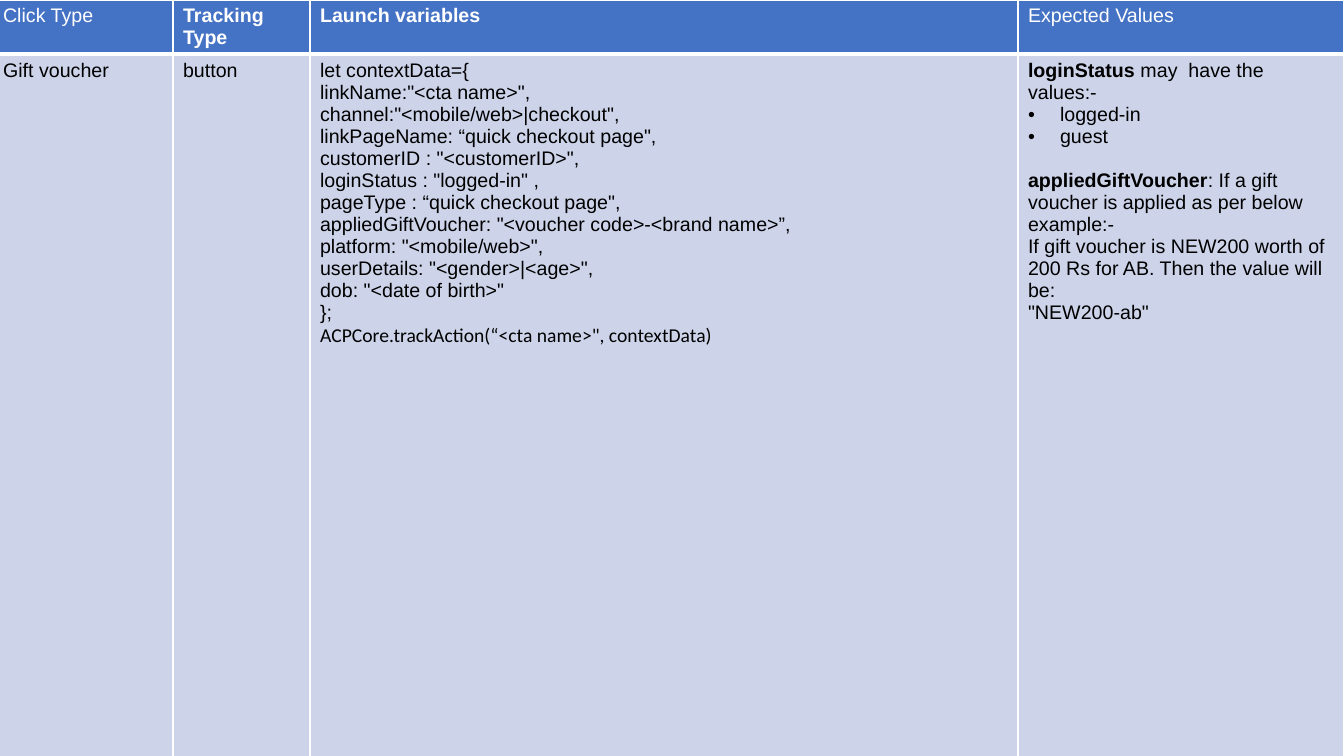
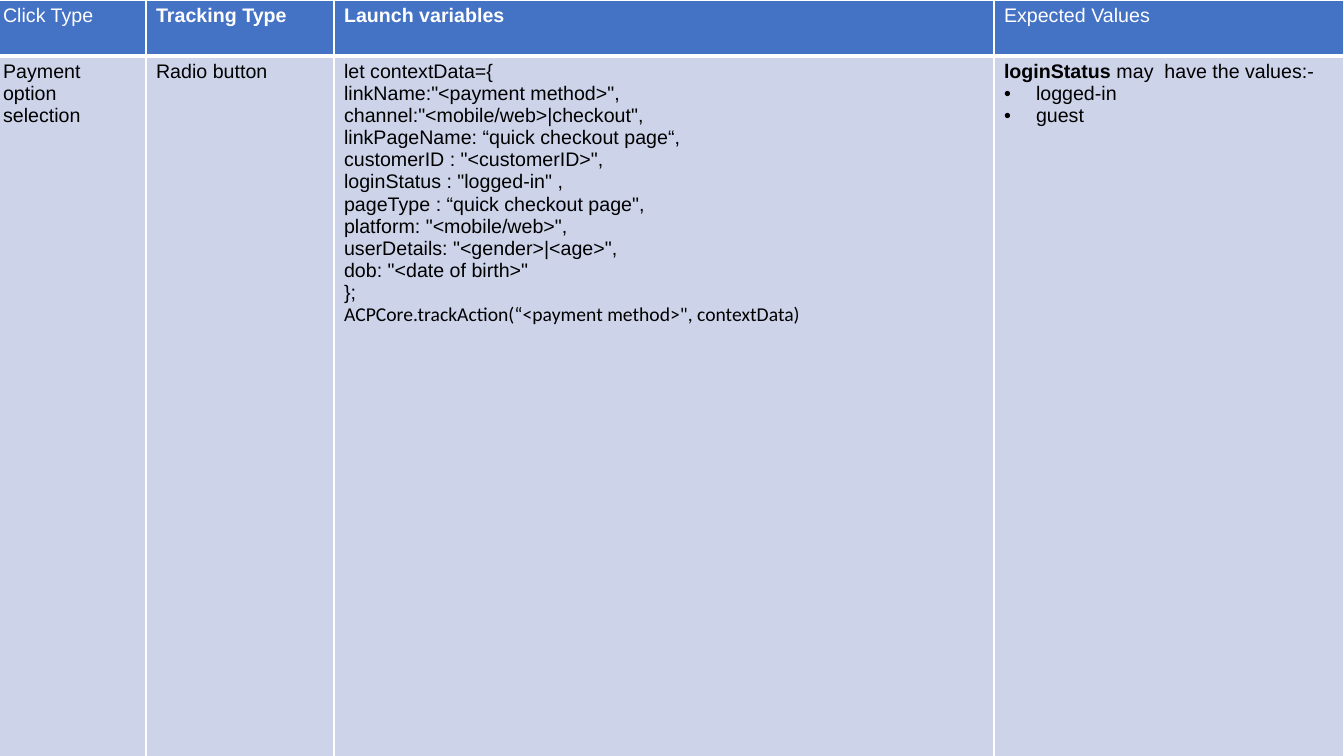
from pptx import Presentation
from pptx import util as u
from pptx.dml import color as dml_color
from pptx.oxml import ns
from lxml import etree

EMU_PER_PX = 914400 / 100.8
SLIDE_WIDTH, SLIDE_HEIGHT = 1344, 756
TABLE_LEFT, TABLE_TOP = -7, 0
BODY_HEIGHT = 718
BULLET_INDENT = 32
HEADER_FILL, BODY_FILL = "4472C4", "CDD4EA"
WHITE, BLACK = "FFFFFF", "000000"
THIN, THICK = 1, 3
HEADERS = [
    [{"text": "Click Type"}],
    [{"text": "Tracking Type", "bold": True}],
    [{"text": "Launch variables", "bold": True}],
    [{"text": "Expected Values"}],
]
LOGIN_VALUES = [
    {"lead": "loginStatus ", "text": "may  have the values:-"},
    {"text": "logged-in", "bullet": True},
    {"text": "guest", "bullet": True},
]
VOUCHER_VALUES = [
    {"lead": "appliedGiftVoucher", "before": 16,
     "text": ": If a gift voucher is applied as per below example:-"},
    {"text": "If gift voucher is NEW200 worth of 200 Rs for AB. Then the value will be:"},
    {"text": '"NEW200-ab"'},
]


def px(length):
    """Turn pixels into EMU."""
    return u.Emu(round(length * EMU_PER_PX))


def rgb(hex_string):
    """Turn a hex string into a colour."""
    return dml_color.RGBColor.from_string(hex_string)


def launch_lines(link_name, page_quote='"', extra=()):
    """List the lines of one tracking call."""
    code = [
        "let contextData={",
        f'linkName:"<{link_name}>",',
        'channel:"<mobile/web>|checkout",',
        f"linkPageName: “quick checkout page{page_quote},",
        'customerID : "<customerID>",',
        'loginStatus : "logged-in" ,',
        'pageType : “quick checkout page",',
        *extra,
        'platform: "<mobile/web>",',
        'userDetails: "<gender>|<age>",',
        'dob: "<date of birth>"',
        "};",
    ]
    call = {"text": f'ACPCore.trackAction(“<{link_name}>", contextData)', "name": "Calibri"}
    return [{"text": line} for line in code] + [call]


def add_run(paragraph, words, color, name="Arial", bold=False):
    """Add one formatted run."""
    run = paragraph.add_run()
    run.text = words
    for attribute, value in {"size": u.Pt(14), "name": name, "bold": bold}.items():
        setattr(run.font, attribute, value)
    run.font.color.rgb = rgb(color)


def add_bullet(paragraph):
    """Give a paragraph a hanging round bullet."""
    properties = paragraph._p.get_or_add_pPr()
    properties.set("marL", str(px(BULLET_INDENT)))
    properties.set("indent", str(-px(BULLET_INDENT)))
    etree.SubElement(properties, ns.qn("a:buFont"), typeface="Arial")
    etree.SubElement(properties, ns.qn("a:buChar"), char="•")


def set_borders(cell, top, bottom):
    """Draw white borders around a cell."""
    properties = cell._tc.get_or_add_tcPr()
    for side, width in {"L": THIN, "R": THIN, "T": top, "B": bottom}.items():
        line = etree.SubElement(properties, ns.qn(f"a:ln{side}"), w=str(u.Pt(width)))
        fill = etree.SubElement(line, ns.qn("a:solidFill"))
        etree.SubElement(fill, ns.qn("a:srgbClr"), val=WHITE)


def fill_cell(cell, lines, fill, color, top, bottom):
    """Style a cell and write its lines."""
    set_borders(cell, top, bottom)
    cell.fill.solid()
    cell.fill.fore_color.rgb = rgb(fill)
    frame = cell.text_frame
    for index, line in enumerate(lines):
        paragraph = frame.add_paragraph() if index else frame.paragraphs[0]
        if "before" in line:
            paragraph.space_before = u.Pt(line["before"])
        if line.get("bullet"):
            add_bullet(paragraph)
        if "lead" in line:
            add_run(paragraph, line["lead"], color, bold=True)
        add_run(paragraph, line["text"], color, line.get("name", "Arial"), line.get("bold", False))


def add_tracking_slide(presentation, widths, header_height, body):
    """Add a slide with one tracking table."""
    slide = presentation.slides.add_slide(presentation.slide_layouts[6])
    heights = [header_height, BODY_HEIGHT]
    table = slide.shapes.add_table(
        len(heights), len(widths), px(TABLE_LEFT), px(TABLE_TOP), px(sum(widths)), px(sum(heights))
    ).table
    for attribute in ("first_row", "horz_banding"):
        setattr(table, attribute, False)
    for column, width in zip(table.columns, widths):
        column.width = px(width)
    for row, height in zip(table.rows, heights):
        row.height = px(height)
    for index, (header, lines) in enumerate(zip(HEADERS, body)):
        fill_cell(table.cell(0, index), header, HEADER_FILL, WHITE, THIN, THICK)
        fill_cell(table.cell(1, index), lines, BODY_FILL, BLACK, THICK, THIN)


def main():
    """Build and save the presentation."""
    presentation = Presentation()
    presentation.slide_width = px(SLIDE_WIDTH)
    presentation.slide_height = px(SLIDE_HEIGHT)
    voucher_line = 'appliedGiftVoucher: "<voucher code>-<brand name>”,'
    add_tracking_slide(presentation, [180, 137, 708, 326], 54, [
        [{"text": "Gift voucher"}],
        [{"text": "button"}],
        launch_lines("cta name", extra=[voucher_line]),
        LOGIN_VALUES + VOUCHER_VALUES,
    ])
    add_tracking_slide(presentation, [153, 188, 660, 350], 56, [
        [{"text": "Payment option selection"}],
        [{"text": "Radio button"}],
        launch_lines("payment method", page_quote="“"),
        LOGIN_VALUES,
    ])
    presentation.save("out.pptx")


if __name__ == "__main__":
    main()
